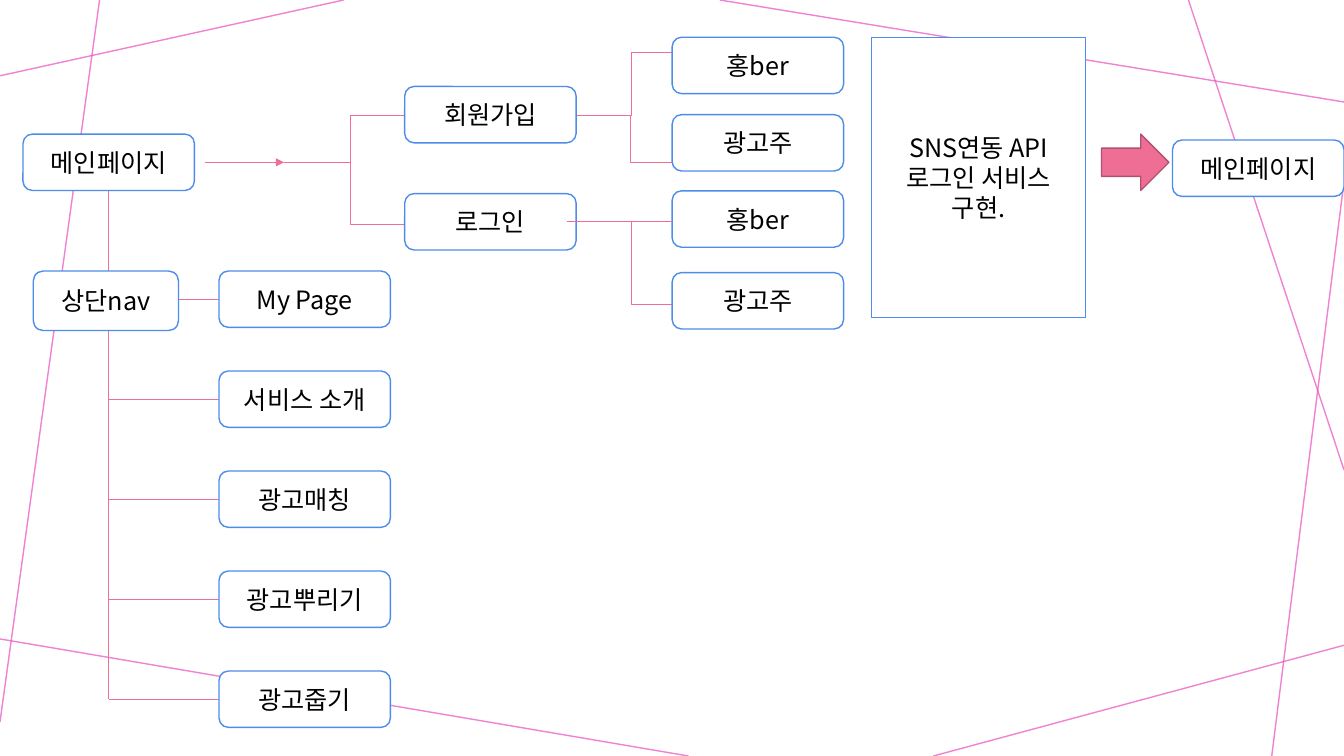
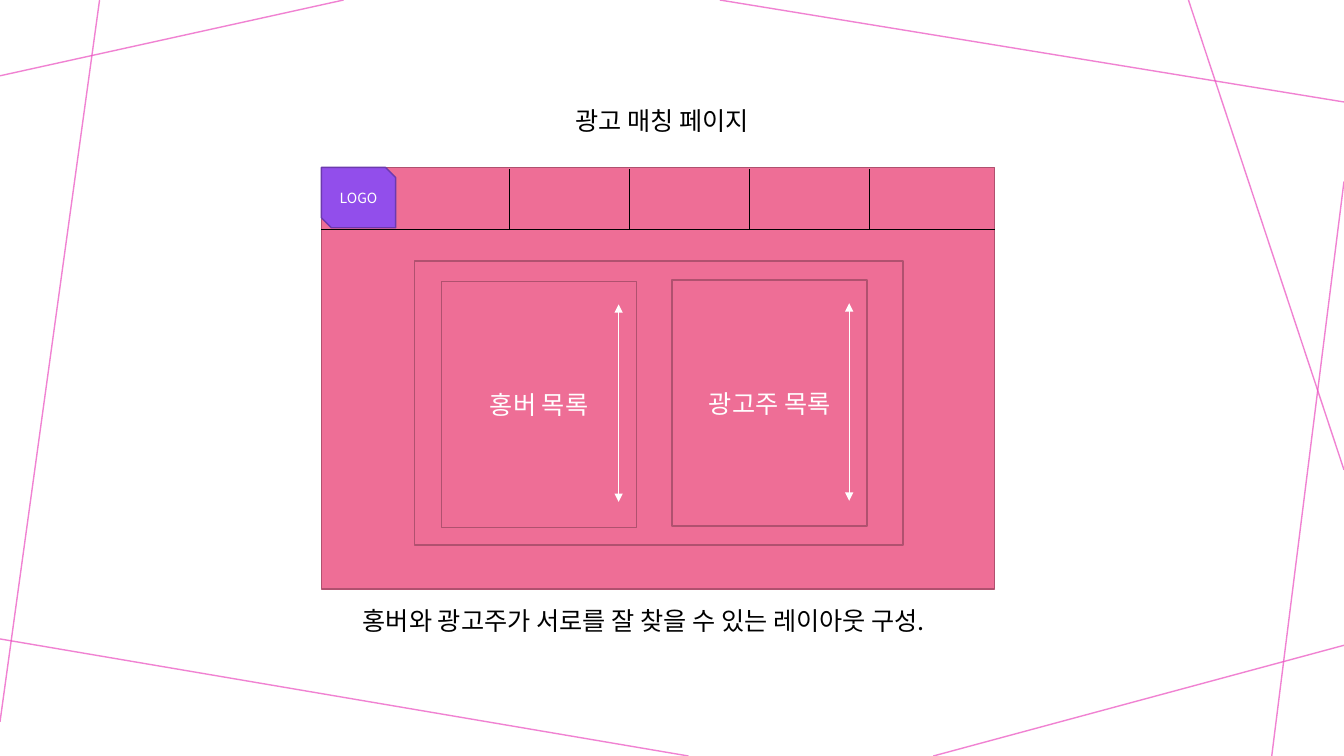
from pptx import Presentation
from pptx.dml.color import RGBColor
from pptx.enum import shapes, text
from pptx.oxml import ns
from pptx.util import Cm, Pt
from lxml import etree

WHITE = RGBColor(0xFF, 0xFF, 0xFF)
BLACK = RGBColor(0x00, 0x00, 0x00)
PINK = RGBColor(0xEE, 0x6E, 0x96)
DARK_PINK = RGBColor(0xB0, 0x51, 0x6F)
BLUE = RGBColor(0x4E, 0x8C, 0xEB)
PURPLE = RGBColor(0x92, 0x4E, 0xEB)
DARK_PURPLE = RGBColor(0x6C, 0x3A, 0xAE)
MAGENTA = RGBColor(0xEB, 0x4E, 0xC0)

FONT = "Noto Sans CJK KR"
WIDTH, HEIGHT = 33.87, 19.05
BOX_WIDTH, BOX_HEIGHT = 4.32, 1.42

BACKGROUND_LINES = [
    (8.66, 0, 0, 1.91),
    (2.51, 0, 0, 18.19),
    (17.35, HEIGHT, 0, 16.1),
    (WIDTH, 16.26, 23.52, HEIGHT),
    (WIDTH, 4.57, 32.05, HEIGHT),
    (WIDTH, 11.84, 29.95, 0),
    (WIDTH, 2.57, 18.14, 0),
]


class Deck:
    """Holds the shared style and draws on the current slide, in centimetres."""

    def __init__(self):
        self.presentation = Presentation()
        self.presentation.slide_width = Cm(WIDTH)
        self.presentation.slide_height = Cm(HEIGHT)
        self.slide = None

    def new_slide(self):
        self.slide = self.presentation.slides.add_slide(self.presentation.slide_layouts[6])
        for ends in BACKGROUND_LINES:
            self.line(*ends, color=MAGENTA, weight=1, opacity=70)

    def line(self, x1, y1, x2, y2, color=PINK, weight=0.5, elbow=False,
             head=False, tail=False, opacity=100):
        kind = shapes.MSO_CONNECTOR.ELBOW if elbow else shapes.MSO_CONNECTOR.STRAIGHT
        connector = self.slide.shapes.add_connector(kind, Cm(x1), Cm(y1), Cm(x2), Cm(y2))
        connector.line.color.rgb = color
        connector.line.width = Pt(weight)
        properties = connector._element.spPr
        outline = properties.find(ns.qn("a:ln"))
        if opacity < 100:
            color_element = outline.find(".//" + ns.qn("a:srgbClr"))
            etree.SubElement(color_element, ns.qn("a:alpha"), val=str(opacity * 1000))
        for wanted, tag in ((head, "a:headEnd"), (tail, "a:tailEnd")):
            if wanted:
                etree.SubElement(outline, ns.qn(tag), type="triangle")
        etree.SubElement(properties, ns.qn("a:effectLst"))

    def shape(self, kind, x, y, width, height, fill, outline, label="", color=WHITE, size=18):
        shape = self.slide.shapes.add_shape(kind, Cm(x), Cm(y), Cm(width), Cm(height))
        shape.shadow.inherit = False
        shape.fill.solid()
        shape.fill.fore_color.rgb = fill
        shape.line.color.rgb = outline
        shape.line.width = Pt(1)
        if label:
            frame = shape.text_frame
            frame.word_wrap = True
            frame.vertical_anchor = text.MSO_ANCHOR.MIDDLE
            self.set_label(frame, label, color, size, text.PP_ALIGN.CENTER)

    def rectangle(self, x, y, width, height, label="", fill=PINK, outline=DARK_PINK, color=WHITE):
        self.shape(shapes.MSO_SHAPE.RECTANGLE, x, y, width, height, fill, outline, label, color)

    def page_box(self, label, x, y, width=BOX_WIDTH, height=BOX_HEIGHT):
        self.shape(shapes.MSO_SHAPE.ROUNDED_RECTANGLE, x, y, width, height,
                   WHITE, BLUE, label, BLACK)

    def caption(self, label, x, y, width):
        frame = self.slide.shapes.add_textbox(Cm(x), Cm(y), Cm(width), Cm(1.02)).text_frame
        frame.word_wrap = False
        frame.auto_size = text.MSO_AUTO_SIZE.SHAPE_TO_FIT_TEXT
        self.set_label(frame, label, BLACK, 18, text.PP_ALIGN.LEFT)

    def set_label(self, frame, label, color, size, alignment):
        frame.text = label
        paragraph = frame.paragraphs[0]
        paragraph.alignment = alignment
        for run in paragraph.runs:
            run.font.name = FONT
            run.font.size = Pt(size)
            run.font.color.rgb = color
            etree.SubElement(run._r.get_or_add_rPr(), ns.qn("a:ea"), typeface=FONT)


def build_site_map(deck):
    deck.new_slide()
    main_y, signup_y, login_y = 4.09, 2.9, 5.59
    account_x, role_x = 10.2, 16.94
    account_right = account_x + BOX_WIDTH

    deck.line(5.16, main_y, 7.16, main_y, tail=True)
    for x1, y1, x2, y2 in [
        (7.16, main_y, 10.52, 5.66),
        (7.16, main_y, 10.52, signup_y),
        (account_right, signup_y, 17.32, 1.32),
        (account_right, signup_y, 17.27, main_y),
        (account_right, login_y, 17.32, 7.67),
    ]:
        deck.line(x1, y1, x2, y2, elbow=True)

    menu = ["My Page", "서비스 소개", "광고매칭", "광고뿌리기", "광고줍기"]
    menu_x, menu_top, menu_pitch, trunk_x = 5.52, 6.83, 2.52, 2.74
    for index, label in enumerate(menu):
        y = menu_top + index * menu_pitch
        center = y + BOX_HEIGHT / 2
        deck.line(trunk_x, center, menu_x, center)
        deck.page_box(label, menu_x, y)
    deck.line(trunk_x, 4.8, trunk_x, center)

    for label, x, y in [
        ("메인페이지", 0.58, 3.38),
        ("회원가입", account_x, 2.18),
        ("로그인", account_x, 4.88),
        ("홍ber", role_x, 0.94),
        ("광고주", role_x, 2.89),
        ("홍ber", role_x, 4.81),
        ("광고주", role_x, 6.87),
        ("메인페이지", WIDTH - BOX_WIDTH, 3.53),
    ]:
        deck.page_box(label, x, y)
    deck.page_box("상단nav", 0.84, menu_top, 3.66, 1.5)
    deck.line(14.3, login_y, role_x, login_y)

    deck.rectangle(21.97, 0.94, 5.38, 7.06, "SNS연동 API로그인 서비스 구현.", WHITE, BLUE, BLACK)
    deck.shape(shapes.MSO_SHAPE.RIGHT_ARROW, 27.76, 3.38, 1.7, 1.42, PINK, DARK_PINK)


def build_matching_page(deck):
    deck.new_slide()
    left, top, width, header_bottom = 8.1, 4.22, 16.97, 5.79
    deck.caption("광고 매칭 페이지", 14.25, 2.54, 5.36)
    deck.rectangle(left, top, width, 10.62)
    deck.line(left, header_bottom, left + width, header_bottom, BLACK)
    for index in range(4):
        x = 12.83 + index * 3.03
        deck.line(x, 4.27, x, header_bottom, BLACK)
    deck.shape(shapes.MSO_SHAPE.SNIP_2_DIAG_RECTANGLE, left, top, 1.87, 1.52,
               PURPLE, DARK_PURPLE, "LOGO", size=10)

    deck.rectangle(10.44, 6.58, 12.32, 7.16)
    for label, x, y in [("홍버 목록", 11.13, 7.09), ("광고주 목록", 16.94, 7.06)]:
        deck.rectangle(x, y, 4.91, 6.2, label)
        scroll_x = x + 4.46
        deck.line(scroll_x, y + 0.58, scroll_x, y + 5.56, WHITE, head=True, tail=True)
    deck.caption("홍버와 광고주가 서로를 잘 찾을 수 있는 레이아웃 구성.", 8.89, 15.14, 16.08)


def main():
    deck = Deck()
    build_site_map(deck)
    build_matching_page(deck)
    deck.presentation.save("out.pptx")


if __name__ == "__main__":
    main()
